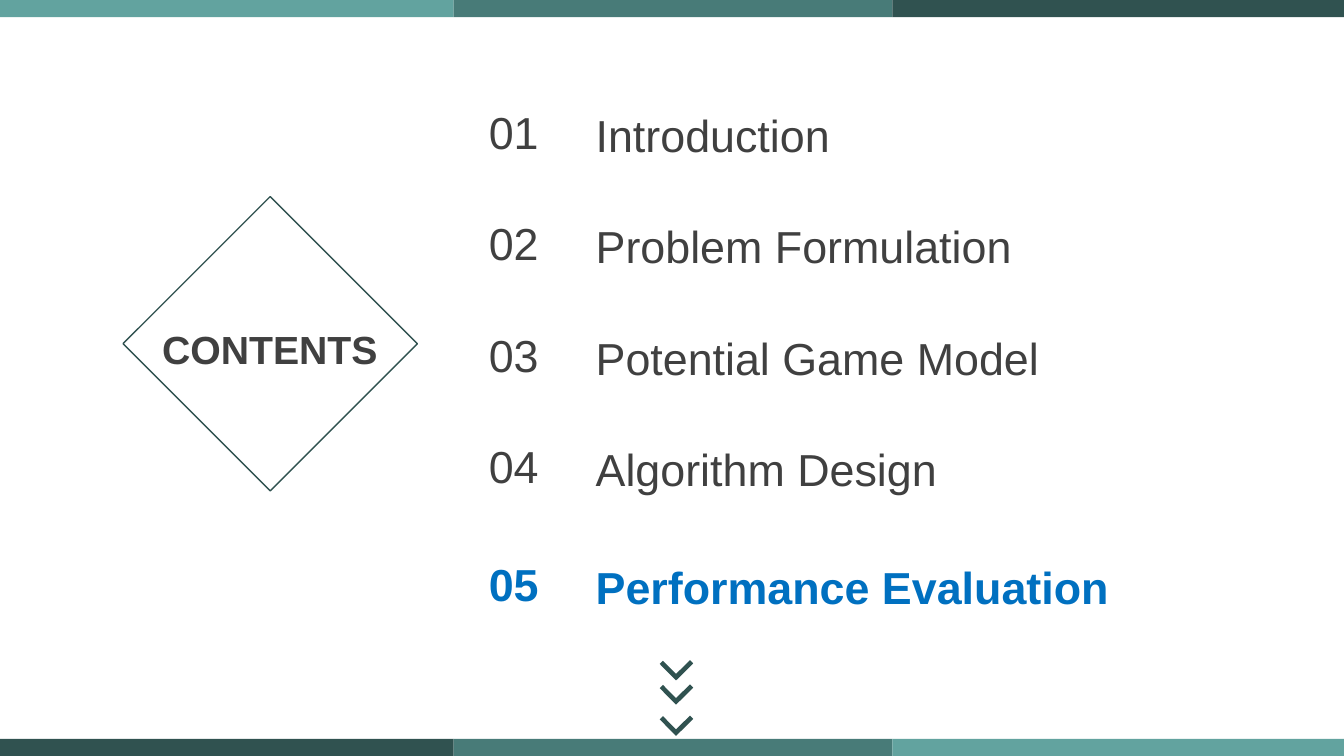
"""Build a contents slide that highlights the fifth section."""
from pptx import Presentation
from pptx.dml.color import RGBColor
from pptx.enum.shapes import MSO_SHAPE
from pptx.enum.text import MSO_AUTO_SIZE
from pptx.util import Inches, Pt

RECTANGLE, DIAMOND, CORNER = MSO_SHAPE.RECTANGLE, MSO_SHAPE.DIAMOND, MSO_SHAPE.CORNER
GROW = MSO_AUTO_SIZE.SHAPE_TO_FIT_TEXT
COLORS = {"dark": "305250", "mid": "487B78", "light": "62A39F",
          "text": "404040", "current": "0070C0"}

prs = Presentation()
prs.slide_width, prs.slide_height = Inches(13.33), Inches(7.5)
slide = prs.slides.add_slide(prs.slide_layouts[6])


def add_label(text, left, top, width, height, size, color, bold, wrap=True):
    frame = slide.shapes.add_textbox(
        Inches(left), Inches(top), Inches(width), Inches(height)).text_frame
    frame.word_wrap = wrap
    frame.auto_size = GROW
    paragraph = frame.paragraphs[0]
    paragraph.text = text
    paragraph.font.name = "Arial"
    paragraph.font.size = Pt(size)
    paragraph.font.bold = bold
    paragraph.font.color.rgb = RGBColor.from_string(COLORS[color])


def add_solid(shapes, preset, left, top, width, height, color):
    solid = shapes.add_shape(
        preset, Inches(left), Inches(top), Inches(width), Inches(height))
    solid.shadow.inherit = False
    solid.fill.solid()
    solid.fill.fore_color.rgb = RGBColor.from_string(COLORS[color])
    solid.line.fill.background()
    return solid


add_label("CONTENTS", 1.51, 3.18, 2.36, 0.57, 28, "text", True, wrap=False)

diamond = slide.shapes.add_shape(
    DIAMOND, Inches(1.22), Inches(1.95), Inches(2.92), Inches(2.92))
diamond.shadow.inherit = False
diamond.fill.background()
diamond.line.color.rgb = RGBColor.from_string(COLORS["dark"])
diamond.line.width = Pt(1)

sections = [
    ("Introduction", 0.99),
    ("Problem Formulation", 2.09),
    ("Potential Game Model", 3.2),
    ("Algorithm Design", 4.3),
    ("Performance Evaluation", 5.47),
]
for number, (title, top) in enumerate(sections, start=1):
    current = number == len(sections)
    color = "current" if current else "text"
    add_label(f"{number:02d}", 4.75, top, 0.84, 0.64, 32, color, current)
    add_label(title, 5.81, top + 0.03, 6.67, 0.64, 32, color, current)

band_edges = [0, 4.5, 8.85, 13.33]
for top, band_colors in [(0, ["light", "mid", "dark"]), (7.33, ["dark", "mid", "light"])]:
    for left, right, color in zip(band_edges, band_edges[1:], band_colors):
        add_solid(slide.shapes, RECTANGLE, left, top, right - left, 0.17, color)

chevrons = slide.shapes.add_group_shape()
for top in (6.47, 6.71, 7.02):
    chevron = add_solid(chevrons.shapes, CORNER, 6.59, top, 0.24, 0.23, "dark")
    chevron.adjustments[0] = 0.2
    chevron.adjustments[1] = 0.2
    chevron.rotation = 315.4

prs.save("out.pptx")
